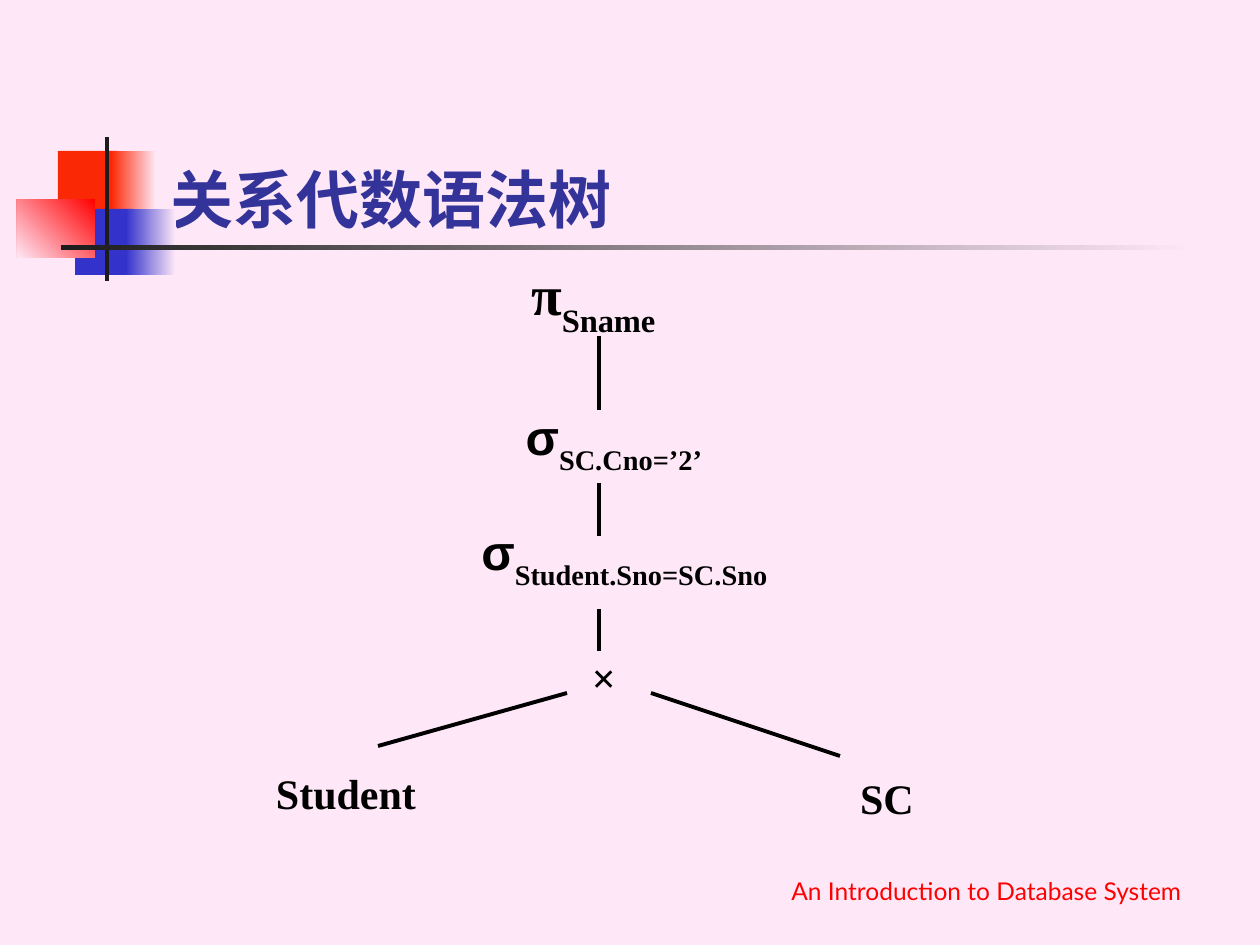
from dataclasses import dataclass

from lxml import etree
from pptx import Presentation
from pptx.dml.color import RGBColor
from pptx.enum.shapes import MSO_CONNECTOR, MSO_SHAPE
from pptx.enum.text import MSO_ANCHOR, MSO_AUTO_SIZE, PP_ALIGN
from pptx.oxml.ns import qn
from pptx.util import Emu, Pt

RECTANGLE = MSO_SHAPE.RECTANGLE
STRAIGHT = MSO_CONNECTOR.STRAIGHT
FIXED_SIZE = MSO_AUTO_SIZE.NONE
MIDDLE, BOTTOM = MSO_ANCHOR.MIDDLE, MSO_ANCHOR.BOTTOM
LEFT, CENTER = PP_ALIGN.LEFT, PP_ALIGN.CENTER
PX = 914400 / 126


@dataclass(frozen=True)
class Theme:
    background: str = "FEE8F7"
    title: str = "333399"
    ink: str = "000000"
    footer: str = "FF0000"
    orange: str = "FB2805"
    red: str = "FF0000"
    blue: str = "3333CC"
    bar: str = "1C1C1C"
    sans: str = "Lato"
    symbol: str = "Arial"
    serif: str = "Times New Roman"
    title_size: int = 36
    root_size: int = 32
    select_size: int = 28
    leaf_size: int = 24
    footer_size: int = 14
    line_width: float = 2.25


theme = Theme()


def px(*lengths):
    return [Emu(round(length * PX)) for length in lengths]


def style(font, name, size, color, bold):
    font.name, font.size, font.bold = name, Pt(size), bold
    font.color.rgb = RGBColor.from_string(color)


deck = Presentation()
deck.slide_width, deck.slide_height = px(1260, 945)
page = deck.slides.add_slide(deck.slide_layouts[5])
page.background.fill.solid()
page.background.fill.fore_color.rgb = RGBColor.from_string(theme.background)

# Corner ornament: left, top, width, height, colours, gradient angle
ornament = [
    (58, 151, 60, 66, [theme.orange], None),
    (111, 151, 45, 66, [theme.background, theme.orange], 180),
    (75, 209, 58, 66, [theme.blue], None),
    (126, 209, 50, 66, [theme.background, theme.blue], 180),
    (17, 199, 78, 59, [theme.red, theme.background], 225),
    (105, 137, 4, 144, [theme.bar], None),
    (61, 245, 1134, 5, [theme.background, theme.bar], 180),
]
for left, top, width, height, colors, angle in ornament:
    block = page.shapes.add_shape(RECTANGLE, *px(left, top, width, height))
    block.shadow.inherit = False
    block.line.fill.background()
    if angle is None:
        block.fill.solid()
        block.fill.fore_color.rgb = RGBColor.from_string(colors[0])
    else:
        block.fill.gradient()
        block.fill.gradient_angle = angle
        for stop, color in zip(block.fill.gradient_stops, colors):
            stop.color.rgb = RGBColor.from_string(color)

title = page.shapes.title
title.left, title.top, title.width, title.height = px(158, 84, 1074, 158)
title.text_frame.auto_size = FIXED_SIZE
title.text_frame.vertical_anchor = BOTTOM
para = title.text_frame.paragraphs[0]
para.text = "关系代数语法树"
para.alignment = LEFT
style(para.font, theme.sans, theme.title_size, theme.title, True)

# Operators: left, top, width, height, symbol, symbol font, size, subscript
operators = [
    (504, 252, 189, 94, "π", theme.serif, theme.root_size, "Sname"),
    (472, 410, 294, 63, "σ", theme.symbol, theme.select_size, "SC.Cno=’2’"),
    (451, 514, 357, 84, "σ", theme.symbol, theme.select_size, "Student.Sno=SC.Sno"),
]
for left, top, width, height, symbol, symbol_font, size, subscript in operators:
    box = page.shapes.add_textbox(*px(left, top, width, height))
    box.text_frame.word_wrap = False
    box.text_frame.vertical_anchor = MIDDLE
    para = box.text_frame.paragraphs[0]
    para.alignment = CENTER
    style(para.font, theme.serif, size, theme.ink, True)
    for text in (symbol, subscript, " "):
        span = para.add_run()
        span.text = text
        if text == symbol:
            span.font.name = symbol_font
        elif text == subscript:
            span.font._element.set("baseline", "-30000")
        else:
            span.font.size = Pt(theme.leaf_size)

leaves = [
    (546, 640, 126, 73, "× "),
    (258, 756, 176, 73, "Student"),
    (808, 756, 158, 84, "SC"),
]
for left, top, width, height, text in leaves:
    box = page.shapes.add_textbox(*px(left, top, width, height))
    box.text_frame.word_wrap = False
    box.text_frame.vertical_anchor = MIDDLE
    para = box.text_frame.paragraphs[0]
    para.text = text
    para.alignment = CENTER
    style(para.font, theme.serif, theme.leaf_size, theme.ink, True)

# Tree branches: start x, start y, end x, end y
branches = [
    (599, 336, 599, 410),
    (599, 483, 599, 536),
    (599, 609, 599, 651),
    (567, 693, 378, 746),
    (651, 693, 840, 756),
]
for ends in branches:
    branch = page.shapes.add_connector(STRAIGHT, *px(*ends))
    branch.line.width = Pt(theme.line_width)
    branch.line.color.rgb = RGBColor.from_string(theme.ink)
    etree.SubElement(branch._element.spPr, qn("a:effectLst"))

footer = page.shapes.add_textbox(*px(766, 849, 441, 63))
footer.text_frame.word_wrap = True
footer.text_frame.vertical_anchor = BOTTOM
para = footer.text_frame.paragraphs[0]
para.text = "An Introduction to Database System"
para.alignment = CENTER
style(para.font, theme.sans, theme.footer_size, theme.footer, False)

deck.save("out.pptx")
